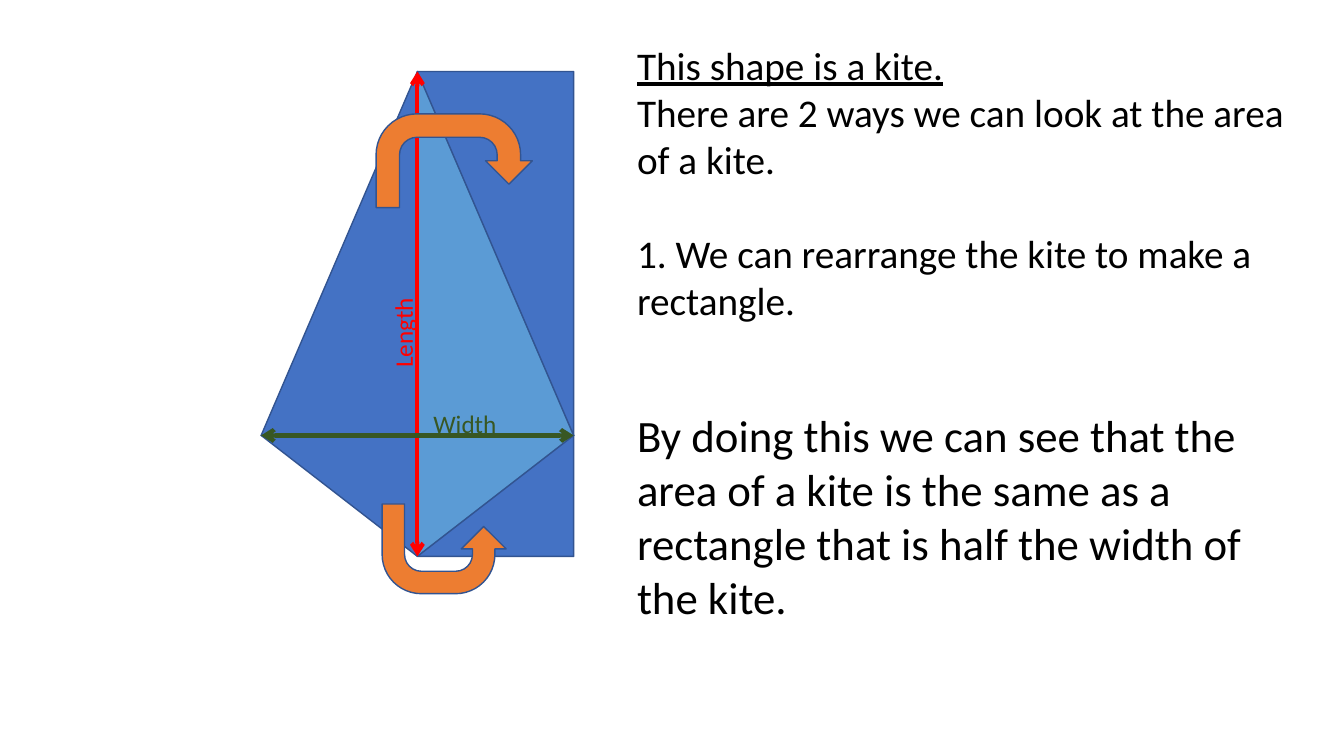
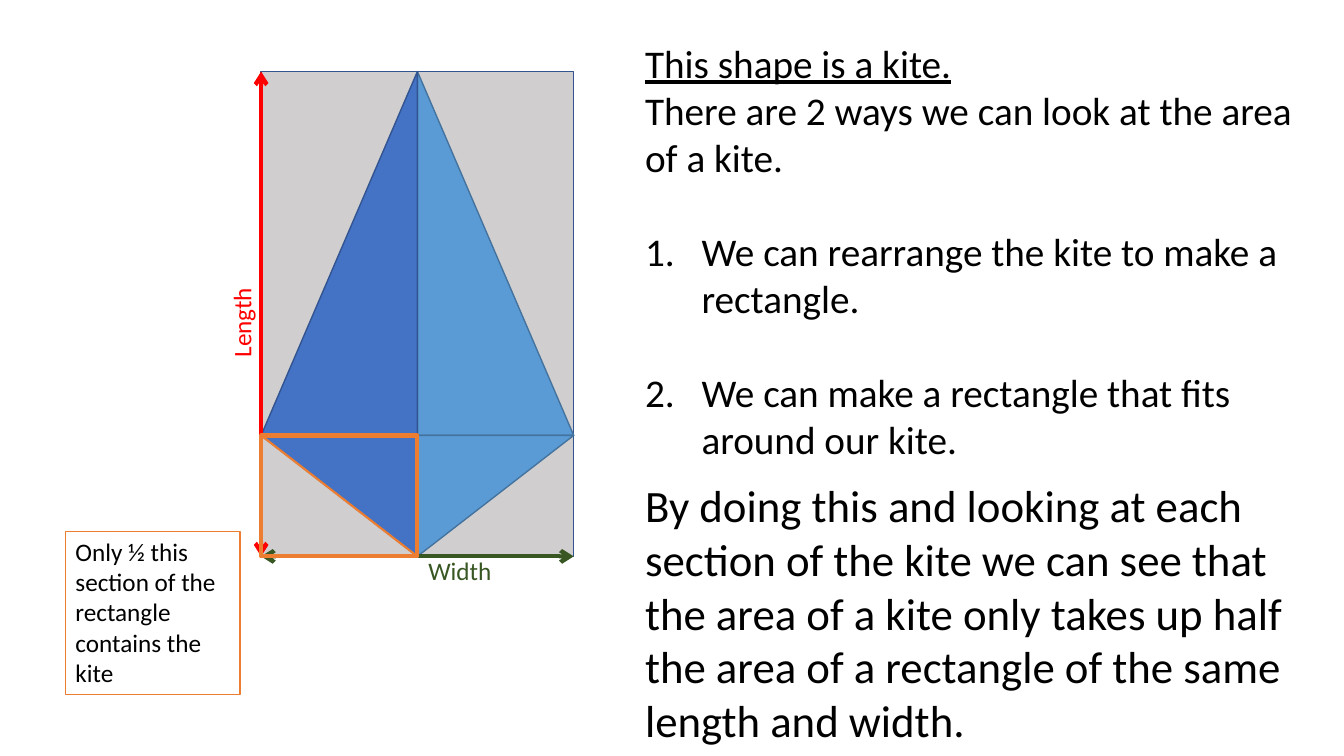
from pptx import Presentation
from pptx import util as u
from pptx.dml import color
from pptx.enum import shapes, text
from pptx.oxml import ns
from lxml import etree

BLUE, BLUE_EDGE = "4472C4", "325491"
SKY, SKY_EDGE = "5B9BD5", "43739E"
RED, GREEN, ORANGE = "FF0000", "385723", "ED7D31"
GREY, WHITE, BLACK = "D0CECE", "FFFFFF", "000000"

HALF, UPPER, LOWER = 1.55, 3.61, 1.2
LEFT, TOP = 2.59, 0.71
MIDDLE, RIGHT = LEFT + HALF, LEFT + 2 * HALF
CROSS, BOTTOM = TOP + UPPER, TOP + UPPER + LOWER

INTRO = [
    {"text": "This shape is a kite.", "underline": True},
    {"text": "There are 2 ways we can look at the area of a kite."},
]


def rgb(value):
    return color.RGBColor.from_string(value)


class Deck:
    font = {"name": "Calibri"}
    body, conclusion, label_size = 28, 32, 18
    gap = u.Pt(33.6)
    indent = u.Inches(0.56)

    def __init__(self):
        self.prs = Presentation()
        self.prs.slide_width = u.Inches(13.33)
        self.prs.slide_height = u.Inches(7.5)
        self.s = None

    def slide(self):
        self.s = self.prs.slides.add_slide(self.prs.slide_layouts[6])

    def shape(self, kind, box, fill, edge, width=1, flips=""):
        sp = self.s.shapes.add_shape(kind, *map(u.Inches, box))
        sp.shadow.inherit = False
        if fill:
            sp.fill.solid()
            sp.fill.fore_color.rgb = rgb(fill)
        else:
            sp.fill.background()
        sp.line.color.rgb = rgb(edge)
        sp.line.width = u.Pt(width)
        for axis in flips:
            sp.element.spPr.xfrm.set("flip" + axis, "1")
        return sp

    def triangle(self, x, y, height, fill, flips=""):
        edge = BLUE_EDGE if fill == BLUE else SKY_EDGE
        self.shape(shapes.MSO_SHAPE.RIGHT_TRIANGLE, (x, y, HALF, height), fill, edge, flips=flips)

    def u_turn(self, box, flips=""):
        self.shape(shapes.MSO_SHAPE.U_TURN_ARROW, box, ORANGE, BLUE_EDGE, flips=flips)

    def rectangle(self, box, fill, edge, width=1):
        return self.shape(shapes.MSO_SHAPE.RECTANGLE, box, fill, edge, width)

    def line(self, start, end, tint, width=3, arrows=True):
        points = map(u.Inches, (*start, *end))
        c = self.s.shapes.add_connector(shapes.MSO_CONNECTOR.STRAIGHT, *points)
        c.line.color.rgb = rgb(tint)
        c.line.width = u.Pt(width)
        if arrows:
            ln = c.element.spPr.find(ns.qn("a:ln"))
            for tag in ("a:headEnd", "a:tailEnd"):
                etree.SubElement(ln, ns.qn(tag), type="arrow")
        etree.SubElement(c.element.spPr, ns.qn("a:effectLst"))

    def put_text(self, sp, paragraphs, size, tint=BLACK):
        tf = sp.text_frame
        tf.word_wrap = True
        tf.auto_size = text.MSO_AUTO_SIZE.SHAPE_TO_FIT_TEXT
        tf.vertical_anchor = text.MSO_ANCHOR.TOP
        for i, item in enumerate(paragraphs):
            p = tf.add_paragraph() if i else tf.paragraphs[0]
            p.alignment = text.PP_ALIGN.LEFT
            if item.get("gap"):
                p.space_before = self.gap
            if item.get("numbered"):
                pPr = p._p.get_or_add_pPr()
                pPr.set("marL", str(self.indent))
                pPr.set("indent", str(-self.indent))
                etree.SubElement(pPr, ns.qn("a:buFont"), typeface="+mj-lt")
                etree.SubElement(pPr, ns.qn("a:buAutoNum"), type="arabicPeriod")
            r = p.add_run()
            r.text = item["text"]
            style = {**self.font, "size": u.Pt(size), "underline": item.get("underline", False)}
            for key, value in style.items():
                setattr(r.font, key, value)
            r.font.color.rgb = rgb(tint)

    def text_box(self, box, paragraphs, size, tint=BLACK, rotation=0):
        sp = self.s.shapes.add_textbox(*map(u.Inches, box))
        sp.rotation = rotation
        self.put_text(sp, paragraphs, size, tint)

    def label(self, x, y, caption, tint, rotation=0):
        self.text_box((x, y, 0.93, 0.4), [{"text": caption}], self.label_size, tint, rotation)

    def kite(self):
        self.triangle(MIDDLE, TOP, UPPER, SKY)
        self.triangle(LEFT, TOP, UPPER, BLUE, "H")
        self.triangle(MIDDLE, CROSS, LOWER, SKY, "V")
        self.triangle(LEFT, CROSS, LOWER, BLUE, "HV")

    def measures(self, length_x, width_y, length_label, width_label):
        self.line((length_x, TOP), (length_x, BOTTOM), RED)
        self.label(*length_label, "Length", RED, 270)
        self.label(*width_label, "Width", GREEN)
        self.line((RIGHT, width_y), (LEFT, width_y), GREEN)


def rearranged_kite(deck):
    deck.slide()
    deck.kite()
    deck.triangle(MIDDLE, TOP, UPPER, BLUE, "HV")
    deck.triangle(MIDDLE, CROSS, LOWER, BLUE, "H")
    steps = [{"text": "1. We can rearrange the kite to make a rectangle.", "gap": True}]
    deck.text_box((6.22, 0.36, 6.64, 2.93), INTRO + steps, deck.body)
    deck.measures(MIDDLE, CROSS, (3.53, 3.08), (4.2, 4))
    deck.u_turn((3.73, 1.13, 1.55, 0.93))
    deck.u_turn((3.79, 5, 1.23, 0.89), "V")
    deck.text_box((6.22, 4, 6.64, 2.26), [{
        "text": "By doing this we can see that the area of a kite is the same as "
                "a rectangle that is half the width of the kite."}], deck.conclusion)


def enclosed_kite(deck):
    deck.slide()
    deck.rectangle((LEFT, TOP, 2 * HALF, UPPER + LOWER), GREY, BLUE_EDGE)
    deck.kite()
    steps = [{"text": step, "gap": True, "numbered": True} for step in (
        "We can rearrange the kite to make a rectangle.",
        "We can make a rectangle that fits around our kite.")]
    deck.text_box((6.3, 0.34, 6.64, 4.34), INTRO + steps, deck.body)
    deck.measures(LEFT, BOTTOM, (1.93, 2.98), (4.15, 5.46))
    deck.text_box((6.3, 4.69, 6.64, 2.79), [{
        "text": "By doing this and looking at each section of the kite we can see that "
                "the area of a kite only takes up half the area of a rectangle of the "
                "same length and width."}], deck.conclusion)
    deck.rectangle((LEFT, CROSS, HALF, LOWER), None, ORANGE, 3)
    deck.line((LEFT, CROSS), (MIDDLE, BOTTOM), ORANGE, 1.5, arrows=False)
    note = deck.rectangle((0.65, 5.27, 1.73, 1.62), WHITE, ORANGE)
    deck.put_text(note, [{"text": "Only ½ this section of the rectangle contains the kite"}],
                  deck.label_size)


def main():
    deck = Deck()
    rearranged_kite(deck)
    enclosed_kite(deck)
    deck.prs.save("out.pptx")


if __name__ == "__main__":
    main()
